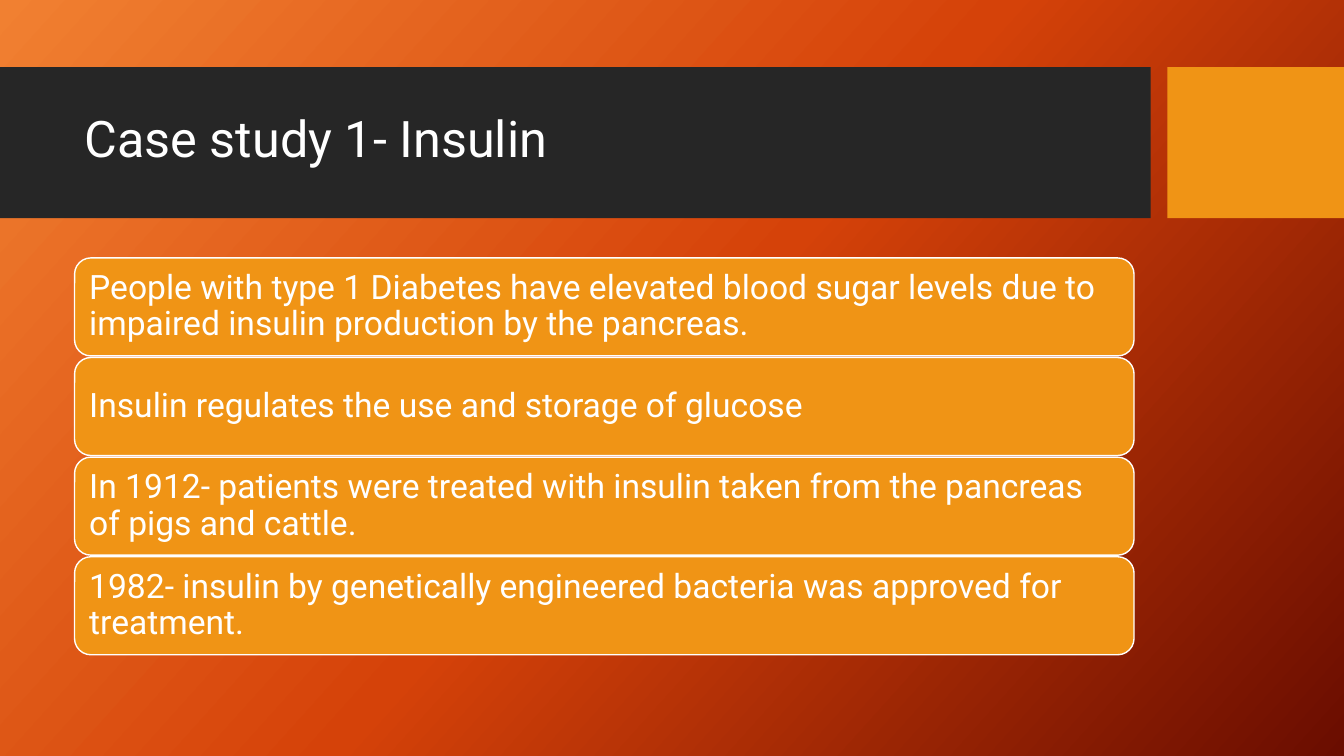
from copy import deepcopy

from pptx import Presentation
from pptx import util as u
from pptx.dml.color import RGBColor
from pptx.enum import shapes, text

FONT = "Roboto"
WHITE = "FFFFFF"
ORANGE = "F09415"
CHARCOAL = "262626"
GRADIENT = [(0, "F18031"), (0.5, "D54209"), (1, "6A0D00")]
FACTS = [
    "People with type 1 Diabetes have elevated blood sugar levels due to impaired insulin production by the pancreas.",
    "Insulin regulates the use and storage of glucose",
    "In 1912- patients were treated with insulin taken from the pancreas of pigs and cattle.",
    "1982- insulin by genetically engineered bacteria was approved for treatment.",
]


def colour(value):
    return RGBColor.from_string(value)


def write(shape, words, size, ink=WHITE, inset=0.25):
    frame = shape.text_frame
    frame.word_wrap = True
    frame.auto_size = text.MSO_AUTO_SIZE.NONE
    frame.vertical_anchor = text.MSO_ANCHOR.MIDDLE
    frame.margin_left = frame.margin_right = u.Cm(inset)
    frame.margin_top = frame.margin_bottom = u.Cm(inset)
    para = frame.paragraphs[0]
    para.alignment = text.PP_ALIGN.LEFT
    para.line_spacing = 0.9
    para.space_before = u.Pt(0)
    span = para.add_run()
    span.text = words
    span.font.name = FONT
    span.font.size = u.Pt(size)
    span.font.color.rgb = colour(ink)


def add_block(page, box, fill, kind=shapes.MSO_SHAPE.RECTANGLE, outline=None):
    block = page.shapes.add_shape(kind, *(u.Cm(side) for side in box))
    block.shadow.inherit = False
    block.fill.solid()
    block.fill.fore_color.rgb = colour(fill)
    if outline:
        block.line.color.rgb = colour(outline)
        block.line.width = u.Pt(1)
    else:
        block.line.fill.background()
    return block


def paint_background(page):
    fill = page.background.fill
    fill.gradient()
    fill.gradient_angle = 318
    stop_list = page.element.xpath(".//p:bg//a:gsLst")[0]
    stop_list.insert(1, deepcopy(stop_list[0]))
    for stop, (position, value) in zip(fill.gradient_stops, GRADIENT):
        stop.position = position
        stop.color.rgb = colour(value)


def title_band(page, box, words):
    left, top, width, height = box
    gap, accent = 0.42, 4.45
    band = width - accent - gap
    add_block(page, (left, top, band, height), CHARCOAL)
    add_block(page, (left + width - accent, top, accent, height), ORANGE)
    title = page.shapes.title
    title.left, title.top = u.Cm(left + 1.88), u.Cm(top + 0.38)
    title.width, title.height = u.Cm(26.7), u.Cm(3)
    write(title, words, 36)
    page.shapes.element.append(title.element)


def fact_cards(page, box, facts):
    left, top, width, height = box
    gap = 0.04
    card_height = (height - gap * (len(facts) - 1)) / len(facts)
    for index, fact in enumerate(facts):
        card_top = top + index * (card_height + gap)
        card = add_block(page, (left, card_top, width, card_height), ORANGE,
                         kind=shapes.MSO_SHAPE.ROUNDED_RECTANGLE, outline=WHITE)
        write(card, fact, 24)


def main():
    deck = Presentation()
    deck.slide_width, deck.slide_height = u.Cm(33.87), u.Cm(19.05)
    page = deck.slides.add_slide(deck.slide_layouts.get_by_name("Title Only"))
    paint_background(page)
    title_band(page, (0, 1.69, 33.87, 3.81), "Case study 1- Insulin")
    fact_cards(page, (1.88, 6.5, 26.7, 10), FACTS)
    deck.save("out.pptx")


if __name__ == "__main__":
    main()
